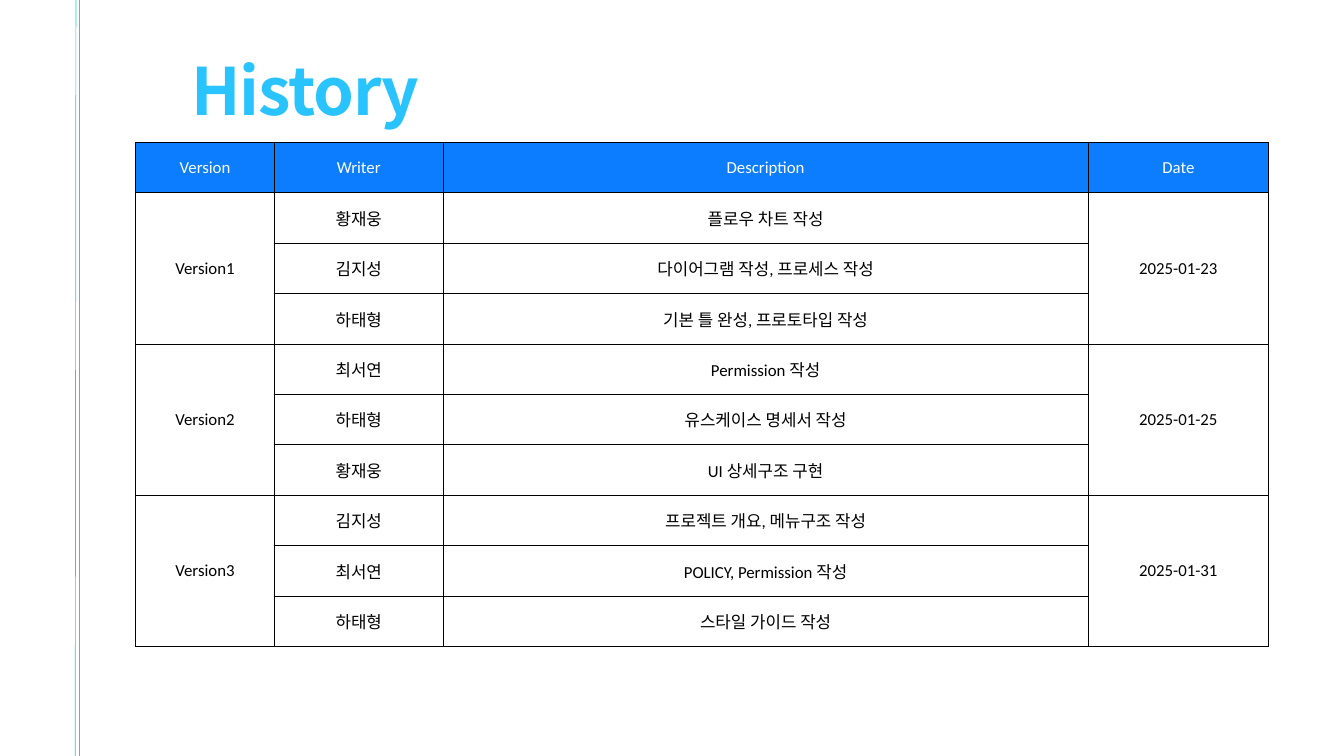
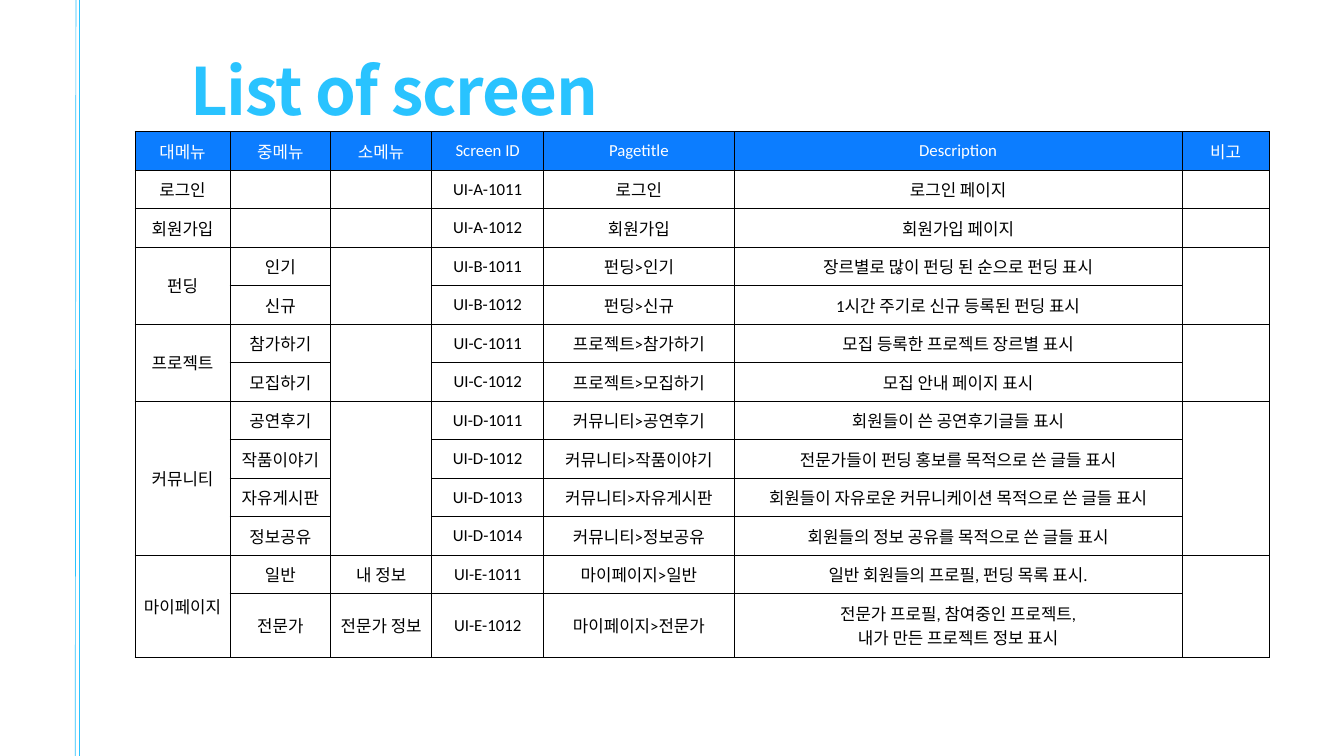
from dataclasses import dataclass
from typing import Any

from lxml.etree import SubElement
from pptx import Presentation
from pptx.dml.color import RGBColor
from pptx.enum.shapes import MSO_CONNECTOR as Connector
from pptx.enum.text import MSO_ANCHOR as Anchor
from pptx.enum.text import MSO_AUTO_SIZE as AutoSize
from pptx.enum.text import PP_ALIGN as Align
from pptx.oxml.ns import qn
from pptx.util import Emu, Pt

# Shared look: a 3840 x 2160 px canvas, 192 px to the inch
EMU_PER_PX = 4762.5
WIDTH, HEIGHT = 3840, 2160
SKY, BLUE, WHITE, BLACK = "29C3FF", "0C7DFF", "FFFFFF", "000000"
TITLE_FONT = {"name": "Noto Sans CJK KR", "size": Pt(70), "bold": True}
CELL_FONT = {"name": "Calibri", "size": Pt(18)}
NO_MARGINS = {f"margin_{side}": 0 for side in ("left", "top", "right", "bottom")}
PLAIN_TABLE = {"first_row": False, "horz_banding": False}
RULES = ((215, 217), (228, 228))  # x at the bottom, x at the top
SAME = None  # the cell continues the one above


@dataclass(frozen=True)
class Grid:
    left: int
    top: int
    columns: tuple[int, ...]
    row_heights: tuple[int, ...]
    side_margin: int
    rows: tuple[tuple[str | None, ...], ...]


@dataclass(frozen=True)
class Page:
    title: str
    title_left: int
    grid: Grid


HISTORY = Page("History", 547, Grid(
    388, 407, (396, 482, 1843, 516), (144,) * 10, 4, (
        ("Version", "Writer", "Description", "Date"),
        ("Version1", "황재웅", "플로우 차트 작성", "2025-01-23"),
        (SAME, "김지성", "다이어그램 작성, 프로세스 작성", SAME),
        (SAME, "하태형", "기본 틀 완성, 프로토타입 작성", SAME),
        ("Version2", "최서연", "Permission 작성", "2025-01-25"),
        (SAME, "하태형", "유스케이스 명세서 작성", SAME),
        (SAME, "황재웅", "UI 상세구조 구현", SAME),
        ("Version3", "김지성", "프로젝트 개요, 메뉴구조 작성", "2025-01-31"),
        (SAME, "최서연", "POLICY, Permission 작성", SAME),
        (SAME, "하태형", "스타일 가이드 작성", SAME),
    )))

SCREENS = Page("List of screen", 543, Grid(
    386, 376, (271, 288, 288, 321, 543, 1281, 248), (110,) * 12 + (182,), 2, (
        ("대메뉴", "중메뉴", "소메뉴", "Screen ID", "Pagetitle", "Description", "비고"),
        ("로그인", "", "", "UI-A-1011", "로그인", "로그인 페이지", ""),
        ("회원가입", "", "", "UI-A-1012", "회원가입", "회원가입 페이지", ""),
        ("펀딩", "인기", "", "UI-B-1011", "펀딩>인기",
         "장르별로 많이 펀딩 된 순으로 펀딩 표시", ""),
        (SAME, "신규", SAME, "UI-B-1012", "펀딩>신규",
         "1시간 주기로 신규 등록된 펀딩 표시", SAME),
        ("프로젝트", "참가하기", "", "UI-C-1011", "프로젝트>참가하기",
         "모집 등록한 프로젝트 장르별 표시", ""),
        (SAME, "모집하기", SAME, "UI-C-1012", "프로젝트>모집하기",
         "모집 안내 페이지 표시", SAME),
        ("커뮤니티", "공연후기", "", "UI-D-1011", "커뮤니티>공연후기",
         "회원들이 쓴 공연후기글들 표시", ""),
        (SAME, "작품이야기", SAME, "UI-D-1012", "커뮤니티>작품이야기",
         "전문가들이 펀딩 홍보를 목적으로 쓴 글들 표시", SAME),
        (SAME, "자유게시판", SAME, "UI-D-1013", "커뮤니티>자유게시판",
         "회원들이 자유로운 커뮤니케이션 목적으로 쓴 글들 표시", SAME),
        (SAME, "정보공유", SAME, "UI-D-1014", "커뮤니티>정보공유",
         "회원들의 정보 공유를 목적으로 쓴 글들 표시", SAME),
        ("마이페이지", "일반", "내 정보", "UI-E-1011", "마이페이지>일반",
         "일반 회원들의 프로필, 펀딩 목록 표시.", ""),
        (SAME, "전문가", "전문가 정보", "UI-E-1012", "마이페이지>전문가",
         "전문가 프로필, 참여중인 프로젝트,\n내가 만든 프로젝트 정보 표시", SAME),
    )))


# Helpers
def px(length: int) -> Emu:
    return Emu(round(length * EMU_PER_PX))


def paint(color_format: Any, color: str) -> None:
    color_format.rgb = RGBColor.from_string(color)


def apply(target: Any, values: dict[str, Any]) -> None:
    for name, value in values.items():
        setattr(target, name, value)


def add_borders(cell: Any) -> None:
    properties = cell._tc.get_or_add_tcPr()
    for side in ("lnL", "lnR", "lnT", "lnB"):
        border = SubElement(properties, qn(f"a:{side}"), w=str(Pt(1)))
        fill = SubElement(border, qn("a:solidFill"))
        SubElement(fill, qn("a:srgbClr"), val=BLACK)


# Parts of a slide
def draw_rules(slide: Any) -> None:
    for bottom_x, top_x in RULES:
        rule = slide.shapes.add_connector(
            Connector.STRAIGHT, px(bottom_x), px(HEIGHT), px(top_x), 0)
        rule.line.width = Pt(0.75)
        paint(rule.line.color, SKY)
        SubElement(rule._element.spPr, qn("a:effectLst"))


def draw_title(slide: Any, title: str, left: int) -> None:
    frame = slide.shapes.add_textbox(px(left), px(31), px(2452), px(334)).text_frame
    apply(frame, NO_MARGINS | {"word_wrap": True, "auto_size": AutoSize.SHAPE_TO_FIT_TEXT})
    heading = frame.paragraphs[0]
    heading.line_spacing = Pt(126)
    run = heading.add_run()
    run.text = title
    apply(run.font, TITLE_FONT)
    paint(run.font.color, SKY)
    run._r.get_or_add_rPr().set("spc", "-120")


def fill_cell(cell: Any, text: str, is_header: bool, side_margin: int) -> None:
    cell.text = text
    apply(cell, NO_MARGINS | {"margin_left": px(side_margin),
                              "margin_right": px(side_margin),
                              "vertical_anchor": Anchor.MIDDLE})
    for paragraph in cell.text_frame.paragraphs:
        paragraph.alignment = Align.CENTER
        for run in paragraph.runs:
            apply(run.font, CELL_FONT)
            paint(run.font.color, WHITE if is_header else BLACK)
    add_borders(cell)
    if is_header:
        cell.fill.solid()
        paint(cell.fill.fore_color, BLUE)
    else:
        cell.fill.background()


def draw_grid(slide: Any, grid: Grid) -> None:
    table = slide.shapes.add_table(
        len(grid.rows), len(grid.columns), px(grid.left), px(grid.top),
        px(sum(grid.columns)), px(sum(grid.row_heights))).table
    apply(table, PLAIN_TABLE)
    for column, width in zip(table.columns, grid.columns):
        column.width = px(width)
    for row, height in zip(table.rows, grid.row_heights):
        row.height = px(height)
    for r, texts in enumerate(grid.rows):
        for c, text in enumerate(texts):
            fill_cell(table.cell(r, c), text or "", r == 0, grid.side_margin)
    # Merge each cell with the ones that continue it
    for c, texts in enumerate(zip(*grid.rows)):
        starts = [r for r, text in enumerate(texts) if text is not SAME]
        for start, following in zip(starts, starts[1:] + [len(texts)]):
            if following - start > 1:
                table.cell(start, c).merge(table.cell(following - 1, c))


def main() -> None:
    deck = Presentation()
    apply(deck, {"slide_width": px(WIDTH), "slide_height": px(HEIGHT)})
    for page in (HISTORY, SCREENS):
        slide = deck.slides.add_slide(deck.slide_layouts[6])
        draw_rules(slide)
        draw_title(slide, page.title, page.title_left)
        draw_grid(slide, page.grid)
    deck.save("out.pptx")


if __name__ == "__main__":
    main()
